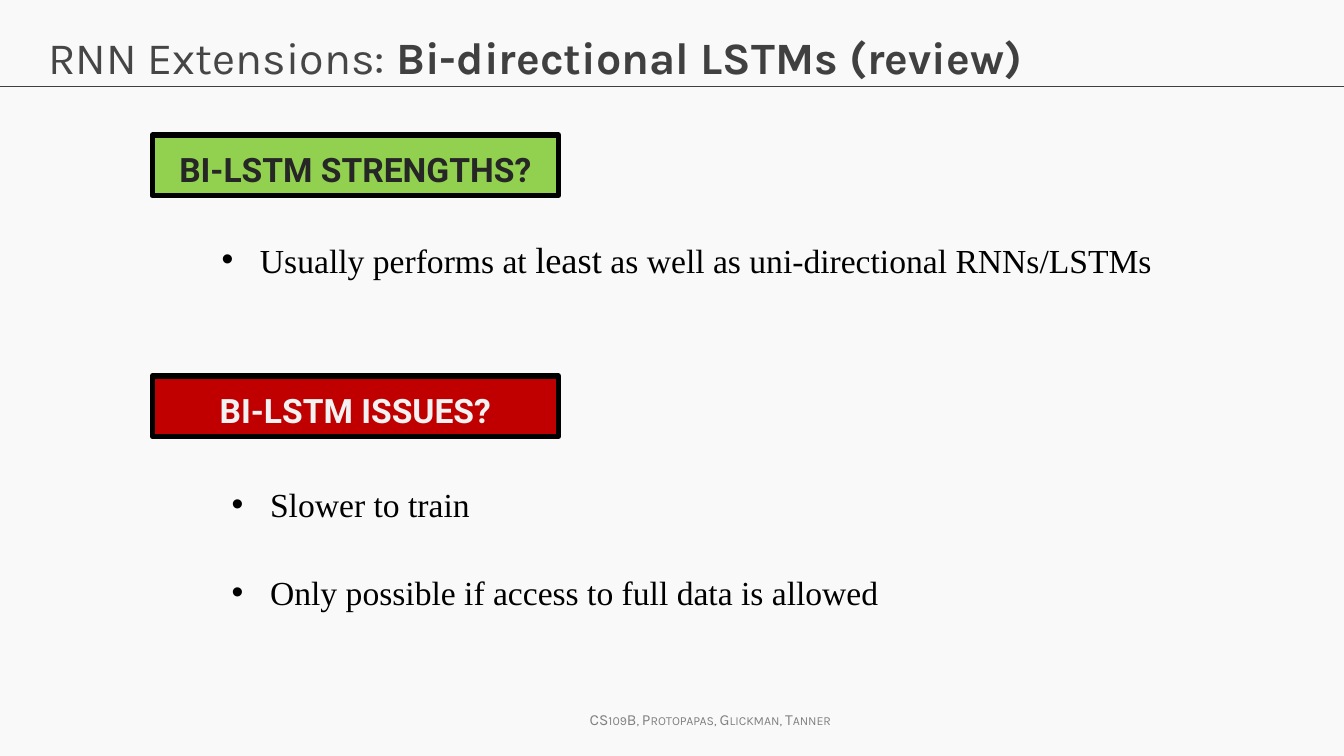
from lxml import etree
from pptx import Presentation
from pptx.dml.color import RGBColor
from pptx.enum import shapes, text
from pptx.oxml import ns
from pptx.util import Inches, Pt

BACKGROUND = RGBColor(0xF9, 0xF9, 0xF9)
BLACK = RGBColor(0, 0, 0)
TITLE_GREY = RGBColor(0x46, 0x46, 0x46)
DARK_GREY = RGBColor(0x40, 0x40, 0x40)
FOOTER_GREY = RGBColor(0x80, 0x80, 0x80)
GREEN = RGBColor(0x92, 0xD0, 0x50)
RED = RGBColor(0xC0, 0, 0)
NEAR_BLACK = RGBColor(0x26, 0x26, 0x26)
NEAR_WHITE = RGBColor(0xF2, 0xF2, 0xF2)


def add_run(paragraph, words, font, size, color, bold=False):
    run = paragraph.add_run()
    run.text = words
    run.font.name = font
    run.font.size = Pt(size)
    run.font.color.rgb = color
    run.font.bold = bold
    return run


def write_title(slide):
    title = slide.shapes.title
    title.left, title.top = Inches(0.38), Inches(0.24)
    title.width, title.height = Inches(10.69), Inches(1.27)
    frame = title.text_frame
    frame.word_wrap = True
    frame.auto_size = text.MSO_AUTO_SIZE.NONE
    frame.vertical_anchor = text.MSO_ANCHOR.TOP
    heading = frame.paragraphs[0]
    heading.alignment = text.PP_ALIGN.LEFT
    add_run(heading, "RNN Extensions: ", "Karla", 32, TITLE_GREY)
    add_run(heading, "Bi-directional LSTMs (review)", "Karla", 32, DARK_GREY, True)


def add_title_rule(slide):
    y = Inches(0.86)
    rule = slide.shapes.add_connector(
        shapes.MSO_CONNECTOR.STRAIGHT, 0, y, Inches(13.33), y)
    rule.line.color.rgb = DARK_GREY
    rule.line.width = Pt(0.75)
    etree.SubElement(rule._element.spPr, ns.qn("a:effectLst"))


def add_footer(slide):
    footer = slide.shapes.add_textbox(
        Inches(5.75), Inches(7), Inches(2.72), Inches(0.29))
    footer.text_frame.word_wrap = False
    footer.text_frame.auto_size = text.MSO_AUTO_SIZE.SHAPE_TO_FIT_TEXT
    credit = add_run(footer.text_frame.paragraphs[0],
                     "CS109B, Protopapas, Glickman, Tanner",
                     "Karla", 11, FOOTER_GREY)
    credit.font._element.set("cap", "small")


def add_banner(slide, top, question, fill, color):
    banner = slide.shapes.add_shape(
        shapes.MSO_SHAPE.RECTANGLE, Inches(1.51), Inches(top),
        Inches(4.03), Inches(0.6))
    banner.shadow.inherit = False
    banner.fill.solid()
    banner.fill.fore_color.rgb = fill
    banner.line.color.rgb = BLACK
    banner.line.width = Pt(3.75)
    banner.text_frame.vertical_anchor = text.MSO_ANCHOR.MIDDLE
    label = banner.text_frame.paragraphs[0]
    label.alignment = text.PP_ALIGN.CENTER
    label.line_spacing = 1.2
    add_run(label, question, "Roboto", 24, color, True)


def add_bullets(slide, left, top, width, height, points):
    answers = slide.shapes.add_textbox(
        Inches(left), Inches(top), Inches(width), Inches(height))
    frame = answers.text_frame
    frame.word_wrap = True
    for index, point in enumerate(points):
        paragraph = frame.paragraphs[0] if index == 0 else frame.add_paragraph()
        paragraph.line_spacing = 1.5
        if index:
            paragraph.space_before = Pt(20)
        properties = paragraph._p.get_or_add_pPr()
        properties.set("marL", str(Inches(0.38)))
        properties.set("indent", str(Inches(-0.38)))
        etree.SubElement(properties, ns.qn("a:buFont"), typeface="Arial")
        etree.SubElement(properties, ns.qn("a:buChar"), char="•")
        for words, size in point:
            add_run(paragraph, words, "Times New Roman", size, BLACK)


def main():
    deck = Presentation()
    deck.slide_width, deck.slide_height = Inches(13.33), Inches(7.5)
    slide = deck.slides.add_slide(deck.slide_layouts[5])
    slide.background.fill.solid()
    slide.background.fill.fore_color.rgb = BACKGROUND

    write_title(slide)
    add_title_rule(slide)
    add_footer(slide)
    add_banner(slide, 1.34, "BI-LSTM STRENGTHS?", GREEN, NEAR_BLACK)
    add_bullets(slide, 2.1, 2.09, 10.21, 1.41, [
        [("Usually performs at ", 24), ("least", 26),
         (" as well as uni-directional RNNs/LSTMs", 24)],
    ])
    add_banner(slide, 3.73, "BI-LSTM ISSUES?", RED, NEAR_WHITE)
    add_bullets(slide, 2.2, 4.55, 9.49, 2.23, [
        [("Slower to train", 24)],
        [("Only possible if access to full data is allowed", 24)],
    ])
    deck.save("out.pptx")


if __name__ == "__main__":
    main()
